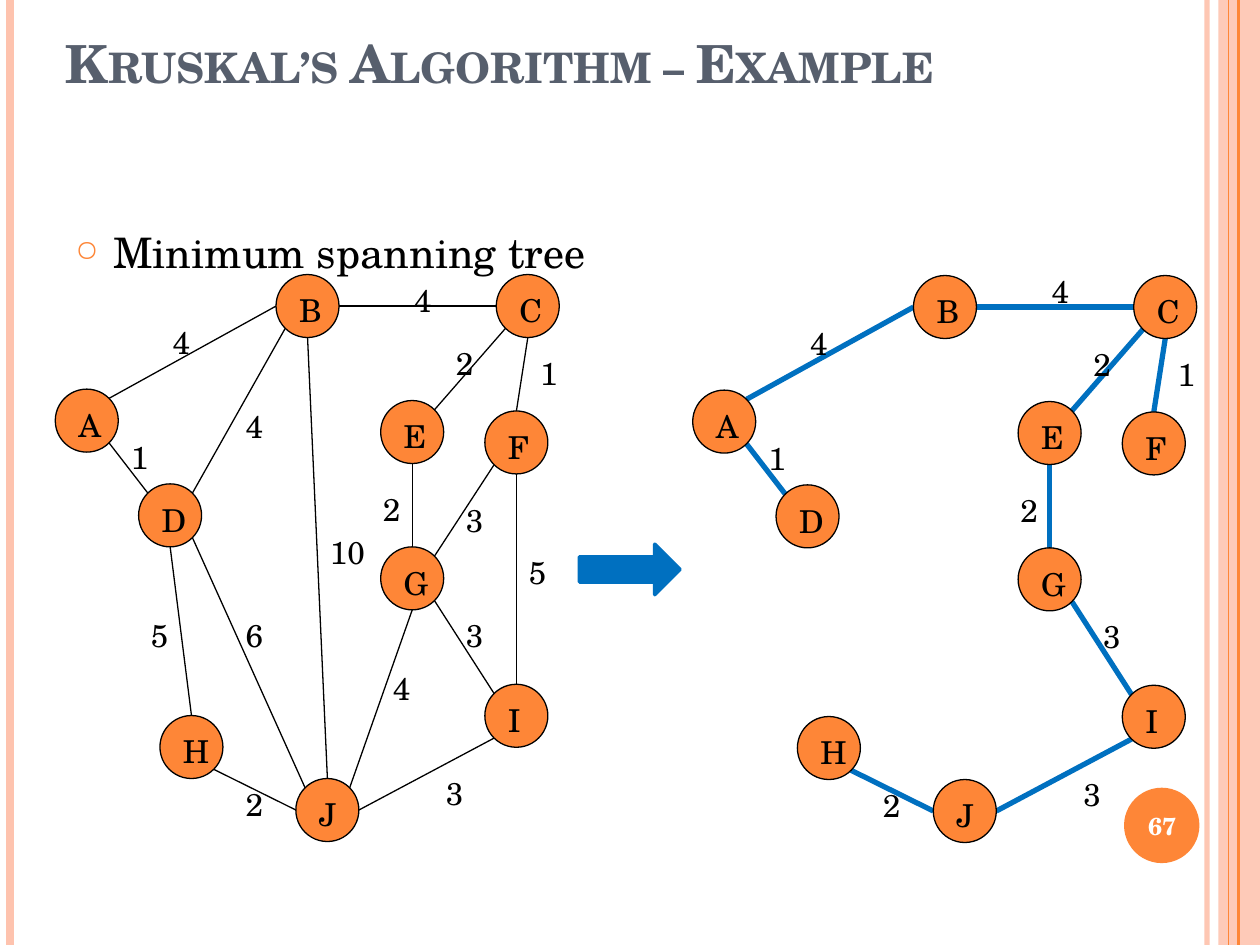
"""Build a slide showing a weighted graph and its minimum spanning tree."""
import math

import lxml.etree
import pptx
import pptx.dml.color
import pptx.enum.shapes
import pptx.enum.text
import pptx.oxml.ns
import pptx.util

Cm, Pt = pptx.util.Cm, pptx.util.Pt
RGB = pptx.dml.color.RGBColor.from_string
Shape = pptx.enum.shapes.MSO_SHAPE
Anchor = pptx.enum.text.MSO_ANCHOR
Align = pptx.enum.text.PP_ALIGN
qn = pptx.oxml.ns.qn


class Theme:
    font = "TeX Gyre Schola"
    orange, peach, blue = "FE8637", "FEC3AE", "0070C0"
    slate, black, white = "575F6D", "000000", "FFFFFF"
    title, body, label, badge = 30, 24, 18, 14


def paint(item, line=None, width=0, fill=None, alpha=100):
    if line:
        item.line.color.rgb = RGB(line)
        item.line.width = Pt(width)
    else:
        item.line.fill.background()
    props = item._element.spPr
    if fill:
        item.fill.solid()
        item.fill.fore_color.rgb = RGB(fill)
        item.shadow.inherit = False
    else:
        lxml.etree.SubElement(props, qn("a:effectLst"))
    if alpha < 100:
        for tint in props.iter(qn("a:srgbClr")):
            lxml.etree.SubElement(tint, qn("a:alpha")).set("val", str(alpha * 1000))


def write(home, text, left, top, width, height, size=Theme.label, color=Theme.black,
          bold=False, caps=False, wrap=False, bullet=None, anchor=Anchor.TOP, align=Align.LEFT):
    box = home.add_textbox(Cm(left), Cm(top), Cm(width), Cm(height))
    frame = box.text_frame
    frame.word_wrap = wrap
    frame.vertical_anchor = anchor
    para = frame.paragraphs[0]
    para.alignment = align
    if bullet:
        props = para._p.get_or_add_pPr()
        props.set("marL", str(Cm(0.76)))
        props.set("indent", str(Cm(-0.76)))
        tint = lxml.etree.SubElement(props, qn("a:buClr"))
        lxml.etree.SubElement(tint, qn("a:srgbClr")).set("val", Theme.orange)
        lxml.etree.SubElement(props, qn("a:buSzPct")).set("val", "70000")
        lxml.etree.SubElement(props, qn("a:buChar")).set("char", bullet)
    run = para.add_run()
    run.text = text
    run.font.name = Theme.font
    run.font.size = Pt(size)
    run.font.bold = bold
    run.font.color.rgb = RGB(color)
    if caps:
        run._r.get_or_add_rPr().set("cap", "small")


deck = pptx.Presentation()
deck.slide_width, deck.slide_height = Cm(25.4), Cm(19.05)
slide = deck.slides.add_slide(deck.slide_layouts[6])
shapes = slide.shapes
straight = pptx.enum.shapes.MSO_CONNECTOR.STRAIGHT

band = shapes.add_shape(Shape.RECTANGLE, Cm(24.56), 0, Cm(0.84), deck.slide_height)
paint(band, fill=Theme.peach, alpha=87)
stripes = [
    (24.33, Theme.peach, 3, 93),
    (0.2, Theme.peach, 4.5, 100),
    (24.97, Theme.orange, 1.5, 100),
    (24.77, Theme.orange, 0.75, 100),
]
for x, color, width, alpha in stripes:
    stripe = shapes.add_connector(straight, Cm(x), 0, Cm(x), deck.slide_height)
    paint(stripe, color, width, alpha=alpha)

badge = shapes.add_shape(Shape.OVAL, Cm(22.66), Cm(15.88), Cm(1.52), Cm(1.52))
paint(badge, fill=Theme.orange)
write(shapes, "67", 22.58, 15.93, 1.7, 1.45, size=Theme.badge, color=Theme.white,
      bold=True, wrap=True, anchor=Anchor.MIDDLE, align=Align.CENTER)
write(shapes, "Kruskal’s Algorithm – Example", 1.07, 0.2, 20.75, 1.83, size=Theme.title,
      color=Theme.slate, bold=True, caps=True, wrap=True, anchor=Anchor.BOTTOM)
write(shapes, "Minimum spanning tree", 1.27, 4.45, 20.75, 13.54, size=Theme.body,
      wrap=True, bullet="○")

arrow = shapes.add_shape(Shape.RIGHT_ARROW, Cm(11.68), Cm(10.97), Cm(2.03), Cm(1.02))
paint(arrow, Theme.blue, 2, Theme.blue)

nodes = {
    "A": (1.75, 8.48, 0.89),
    "B": (6.2, 6.17, 0.89),
    "C": (10.64, 6.17, 0.89),
    "D": (3.43, 10.39, 0.94),
    "E": (8.31, 8.71, 0.86),
    "F": (10.41, 8.92, 0.84),
    "G": (8.31, 11.66, 0.94),
    "H": (3.86, 15.06, 0.94),
    "I": (10.41, 14.43, 0.76),
    "J": (6.6, 16.33, 0.79),
}
edges = [
    ("B", "E", "C", "W", "4", 8.1, 5.54),
    ("A", "NE", "B", "W", "4", 3.23, 6.38),
    ("A", "SE", "D", "NW", "1", 2.39, 8.71),
    ("B", "SW", "D", "NE", "4", 4.7, 8.08),
    ("B", "S", "J", "N", "10", 6.4, 10.62),
    ("C", "SW", "E", "NE", "2", 8.94, 6.81),
    ("C", "S", "F", "N", "1", 10.64, 7.01),
    ("E", "S", "G", "N", "2", 7.47, 9.75),
    ("F", "SW", "G", "NE", "3", 9.14, 9.98),
    ("F", "S", "I", "N", "5", 10.41, 11.02),
    ("G", "SE", "I", "NW", "3", 9.14, 12.29),
    ("G", "S", "J", "NE", "4", 7.67, 13.36),
    ("I", "SW", "J", "E", "3", 8.74, 15.47),
    ("H", "SE", "J", "W", "2", 4.7, 15.7),
    ("D", "S", "H", "N", "5", 2.79, 12.29),
    ("D", "SE", "J", "NW", "6", 4.7, 12.29),
]
tree = {"BC", "AB", "AD", "CE", "CF", "EG", "GI", "IJ", "HJ"}
every = {edge[0] + edge[2] for edge in edges}
radius = 0.635
rim = {}
for step, side in enumerate(["E", "SE", "S", "SW", "W", "NW", "N", "NE"]):
    turn = step * math.pi / 4
    rim[side] = radius * math.cos(turn), radius * math.sin(turn)

graphs = [
    (tree, 12.85, 0.02, Theme.blue, 3, {"BC": 0.2}),
    (every, 0, 0, Theme.black, 0.75, {}),
]
for kept, dx, dy, color, width, lift in graphs:
    group = shapes.add_group_shape().shapes
    for start, out, end, into, weight, left, top in edges:
        pair = start + end
        if pair not in kept:
            continue
        ends = []
        for name, side in ((start, out), (end, into)):
            x, y, _ = nodes[name]
            ends += [Cm(x + dx + rim[side][0]), Cm(y + dy + rim[side][1])]
        paint(group.add_connector(straight, *ends), color, width)
        write(group, weight, left + dx, top + dy - lift.get(pair, 0),
              0.5 + 0.36 * len(weight), 1.02)
    for name, (x, y, wide) in nodes.items():
        disc = group.add_shape(Shape.OVAL, Cm(x + dx - radius), Cm(y + dy - radius),
                               Cm(2 * radius), Cm(2 * radius))
        paint(disc, Theme.black, 0.75, Theme.orange)
        write(group, name, x + dx - 0.42, y + dy - 0.42, wide, 1.02)

deck.save("out.pptx")
